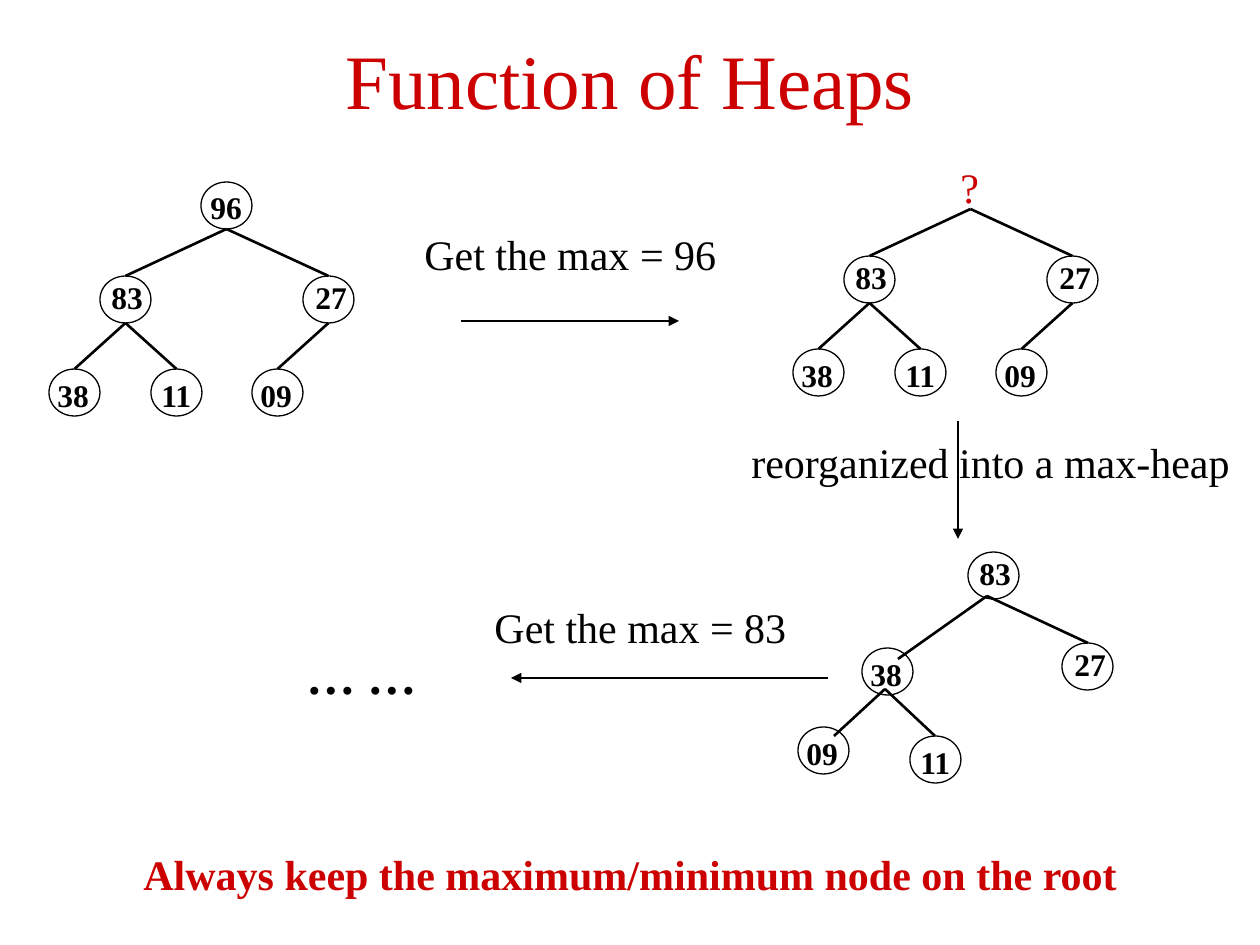
from pptx import Presentation
from pptx.dml.color import RGBColor
from pptx.enum.shapes import MSO_CONNECTOR, MSO_SHAPE
from pptx.enum.text import MSO_ANCHOR, PP_ALIGN
from pptx.oxml.ns import qn
from pptx.util import Pt
from lxml.etree import SubElement

RED = RGBColor(0xCC, 0x00, 0x00)
BLACK = RGBColor(0x00, 0x00, 0x00)
WHITE = RGBColor(0xFF, 0xFF, 0xFF)
FONT = "Times New Roman"
EMU_PER_PX = 914400 / 126

# ---- Content ----
TITLE = "Function of Heaps"
NODE_W, NODE_H = 51, 47
LABEL_W, LABEL_H = 64, 50

# Node positions relative to the tree's corner, and (parent, child) links
HEAP_SLOTS = {"root": (152, 0), "83": (51, 94), "27": (254, 94),
              "38": (0, 187), "11": (102, 187), "09": (203, 187)}
HEAP_LINKS = [("root", "83"), ("root", "27"), ("83", "38"),
              ("83", "11"), ("27", "09")]
FULL_HEAP_AT = (49, 182)
ROOTLESS_HEAP_AT = (793, 162)

REBUILT_NODES = {"83": (968, 552), "27": (1062, 643), "38": (862, 648),
                 "11": (910, 736), "09": (798, 727)}
REBUILT_EDGES = [((987, 596), (898, 659)), ((987, 596), (1088, 643)),
                 ((885, 689), (834, 736)), ((885, 689), (935, 736))]

# Label box offset from its node's corner
LABEL_SHIFT = {"96": (-3, 0), "83": (-1, -4), "27": (0, -4),
               "38": (-4, 1), "11": (-2, 1), "09": (-4, 1)}

# Arrow start, arrow end, captions: (text, box, size, bold)
STEPS = [
    ((461, 321), (679, 321),
     [("Get the max = 96", (412, 222, 324, 63), 24, False)]),
    ((958, 421), (958, 539),
     [("reorganized into a max-heap", (739, 430, 510, 63), 24, False)]),
    ((828, 678), (511, 678),
     [("Get the max = 83", (482, 595, 324, 63), 24, False),
      ("… …", (294, 639, 140, 72), 28, True)]),
]
CONCLUSION = "Always keep the maximum/minimum node on the root"


def px(*values):
    return [round(v * EMU_PER_PX) for v in values]


def style(paragraph, size, color, bold=False):
    for run in paragraph.runs:
        font = run.font
        font.name, font.size, font.bold = FONT, Pt(size), bold
        font.color.rgb = color


def add_text(shapes, text, box, size, color=BLACK, bold=False,
             anchor=MSO_ANCHOR.TOP):
    frame = shapes.add_textbox(*px(*box)).text_frame
    frame.word_wrap = False
    frame.vertical_anchor = anchor
    frame.text = text
    style(frame.paragraphs[0], size, color, bold)


def add_line(shapes, start, end, width, arrow=False):
    line = shapes.add_connector(MSO_CONNECTOR.STRAIGHT, *px(*start, *end))
    line.line.color.rgb = BLACK
    line.line.width = Pt(width)
    if arrow:
        SubElement(line.line._get_or_add_ln(), qn("a:tailEnd"), type="triangle")
    SubElement(line._element.spPr, qn("a:effectLst"))


def add_tree(shapes, nodes, edges):
    for x, y in nodes.values():
        node = shapes.add_shape(MSO_SHAPE.OVAL, *px(x, y, NODE_W, NODE_H))
        node.shadow.inherit = False
        node.fill.solid()
        node.fill.fore_color.rgb = WHITE
        node.line.color.rgb = BLACK
        node.line.width = Pt(0.75)
    for start, end in edges:
        add_line(shapes, start, end, 1.5)
    for value, (x, y) in nodes.items():
        dx, dy = LABEL_SHIFT[value]
        add_text(shapes, value, (x + dx, y + dy, LABEL_W, LABEL_H), 18,
                 bold=True, anchor=MSO_ANCHOR.MIDDLE)


def place_heap(corner):
    """Return slot positions and edges from parent bottom to child top."""
    slots = {key: (corner[0] + x, corner[1] + y)
             for key, (x, y) in HEAP_SLOTS.items()}
    edges = [((slots[a][0] + NODE_W / 2, slots[a][1] + NODE_H),
              (slots[b][0] + NODE_W / 2, slots[b][1]))
             for a, b in HEAP_LINKS]
    return slots, edges


def main():
    prs = Presentation()
    prs.slide_width, prs.slide_height = px(1260, 945)
    slide = prs.slides.add_slide(prs.slide_layouts[5])

    def new_group():
        return slide.shapes.add_group_shape().shapes

    # Title
    title = slide.shapes.title
    title.left, title.top, title.width, title.height = px(94.5, 0, 1071, 157.5)
    title.text_frame.text = TITLE
    title.text_frame.vertical_anchor = MSO_ANCHOR.MIDDLE
    title.text_frame.paragraphs[0].alignment = PP_ALIGN.CENTER
    style(title.text_frame.paragraphs[0], 44, RED)

    # Heap with its maximum on the root
    slots, edges = place_heap(FULL_HEAP_AT)
    full_nodes = {"96" if key == "root" else key: at
                  for key, at in slots.items()}
    add_tree(new_group(), full_nodes, edges)

    # Heap after the root is taken
    slots, edges = place_heap(ROOTLESS_HEAP_AT)
    del slots["root"]
    rootless = new_group()
    add_tree(rootless, slots, edges)
    add_text(rootless, "?", (948, 155, 48, 63), 24, RED)

    # Heap after reorganizing
    add_tree(new_group(), REBUILT_NODES, REBUILT_EDGES)

    # Steps between the heaps
    for start, end, captions in STEPS:
        step = new_group()
        add_line(step, start, end, 0.75, arrow=True)
        for text, box, size, bold in captions:
            add_text(step, text, box, size, bold=bold)

    # Conclusion
    add_text(slide.shapes, CONCLUSION, (131, 842, 999, 63), 24, RED, True)

    prs.save("out.pptx")


if __name__ == "__main__":
    main()
